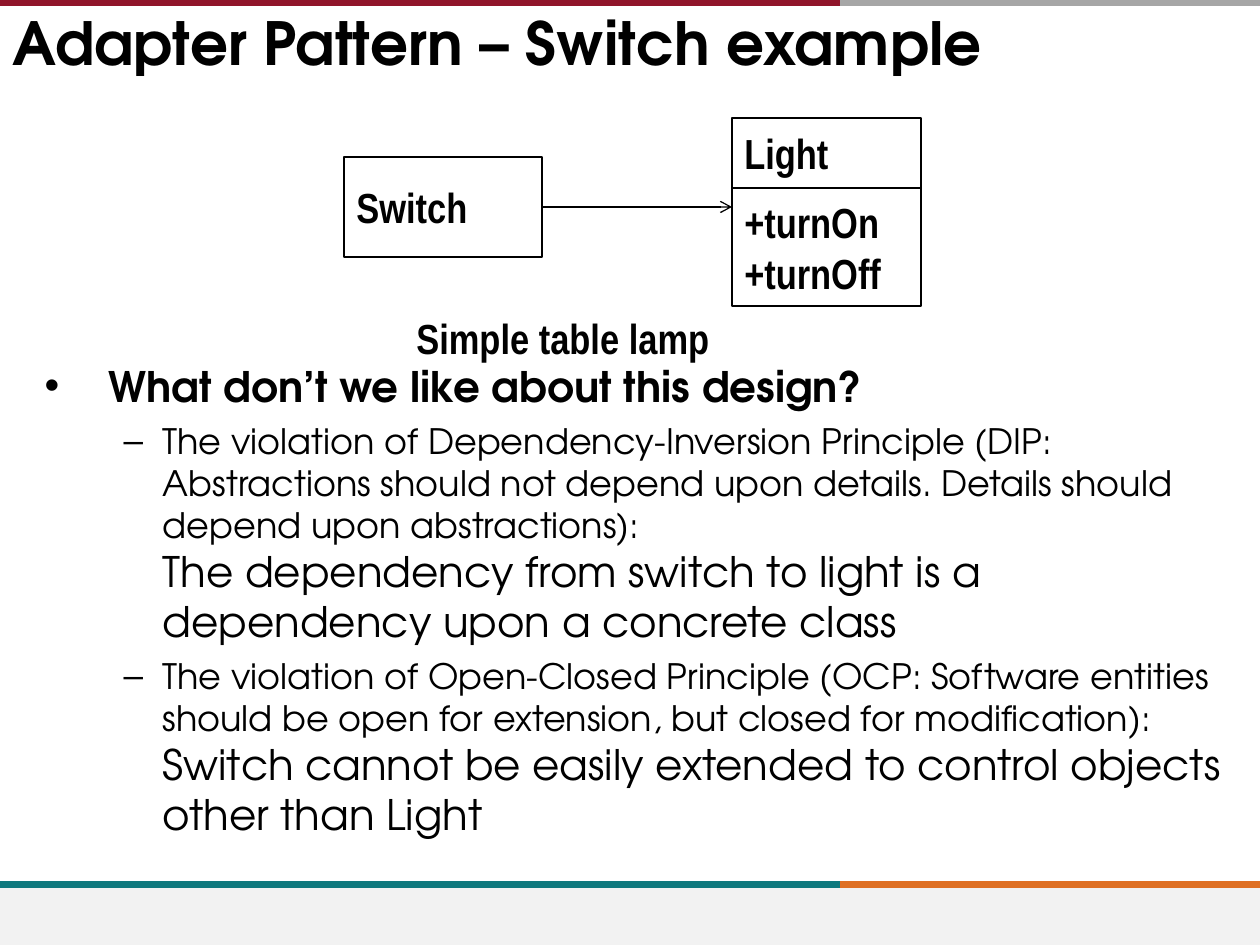
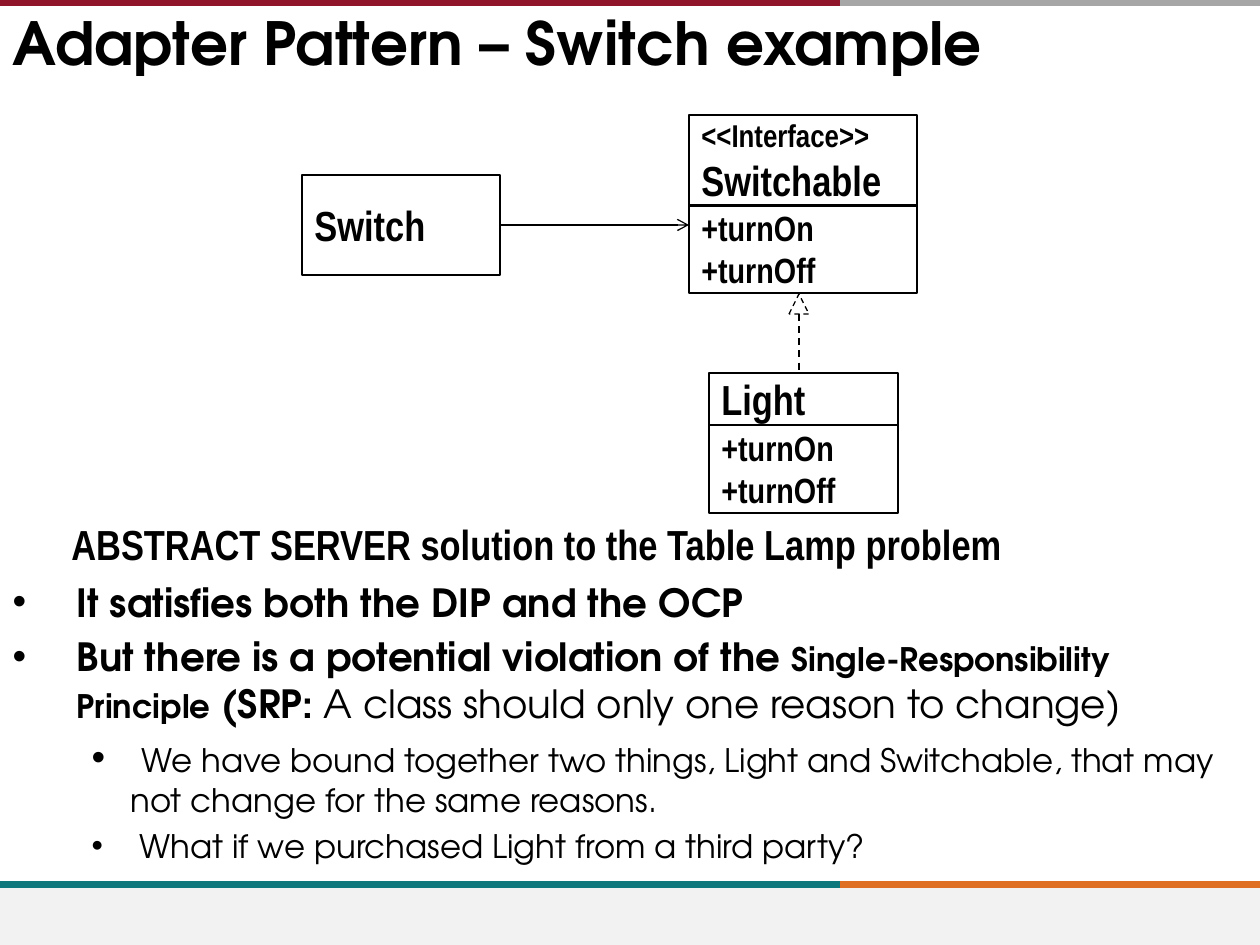
"""Build two slides on the Adapter pattern with a switch and a light."""
from copy import deepcopy
from dataclasses import dataclass

from lxml import etree
from pptx import Presentation
from pptx import util as u
from pptx.dml.color import RGBColor
from pptx.enum import dml, shapes, text
from pptx.oxml.ns import qn


@dataclass
class Theme:
    ink: str = "000000"
    red: str = "90152A"
    gray: str = "A6A6A6"
    teal: str = "0F787D"
    rust: str = "DF7023"
    pale: str = "F2F2F2"
    face: str = "TeX Gyre Adventor"
    slim: str = "Arial Narrow"
    head: float = 34
    big: float = 24
    mid: float = 20
    tag: float = 18
    lead: float = 22.2
    note: float = 18.5


theme = Theme()
PX = 914400 / 126


def write(para, words, size, bold=True, face=theme.face):
    """Add words to a paragraph, with a line break at each newline."""
    for i, line in enumerate(words.split("\n")):
        if i:
            gap = etree.SubElement(para._p, qn("a:br"))
            gap.append(deepcopy(run._r.rPr))
        if not line:
            continue
        run = para.add_run()
        run.text = line
        run.font.size = u.Pt(size)
        run.font.bold = bold
        run.font.name = face
        run.font.color.rgb = RGBColor.from_string(theme.ink)


def wire(page, ends, color=theme.ink, width=0.75):
    """Draw a straight line between two points given in px."""
    line = page.shapes.add_connector(shapes.MSO_CONNECTOR.STRAIGHT, *[round(n * PX) for n in ends])
    line.line.color.rgb = RGBColor.from_string(color)
    line.line.width = u.Pt(width)
    etree.SubElement(line.element.spPr, qn("a:effectLst"))
    return line


deck = Presentation()
deck.slide_width, deck.slide_height = round(1260 * PX), round(945 * PX)
plan = deck.slide_layouts[1]
name = plan.placeholders[0]
name.left, name.top, name.width, name.height = [round(n * PX) for n in (0, 0, 1251, 98)]

big, mid, lead, note = theme.big, theme.mid, theme.lead, theme.note
calls = "+turnOn\n+turnOff"
pages = [
    dict(
        boxes=[
            (344, 157, 198, 100, [("Switch", big)]),
            (732, 118, 189, 70, [("Light", big)]),
            (732, 188, 189, 118, [(calls, big)]),
        ],
        arrow=(542, 207, 732, 207),
        label=("Simple table lamp", (404, 306, 377, 63)),
        area=(32, 354, 1228, 546),
        items=[
            (0, "•", [("What don’t we like about this design?", big, True)]),
            (1, "–", [
                ("The violation of Dependency-Inversion Principle (DIP: Abstractions should not "
                 "depend upon details. Details should depend upon abstractions):\n", mid, False),
                ("The dependency from switch to light is a dependency upon a concrete class",
                 big, False)]),
            (1, "–", [
                ("The violation of Open-Closed Principle (OCP: Software entities should be open "
                 "for extension, but closed for modification):\n", mid, False),
                ("Switch cannot be easily extended to control objects other than Light",
                 big, False)]),
        ],
    ),
    dict(
        boxes=[
            (302, 175, 198, 100, [("Switch", big)]),
            (689, 115, 228, 91, [("<<Interface>>\n", theme.tag), ("Switchable", big)]),
            (689, 205, 228, 88, [(calls, mid)]),
            (709, 373, 189, 52, [("Light", big)]),
            (709, 425, 189, 88, [(calls, mid)]),
        ],
        arrow=(500, 225, 689, 225),
        label=("ABSTRACT SERVER solution to the Table Lamp problem", (59, 512, 1201, 63)),
        area=(0, 572, 1260, 265),
        items=[
            (0, "•", [("It satisfies both the DIP and the OCP", lead, True)]),
            (0, "•", [
                ("But there is a potential violation of the ", lead, True),
                ("Single-Responsibility Principle", note, True),
                (" (SRP:", lead, True),
                (" A class should only one reason to change)", lead, False)]),
            (1, "•", [
                (" ", lead, False),
                ("We have bound together two things, Light and Switchable, that may not change "
                 "for the same reasons.", note, False)]),
            (1, "•", [(" What if we purchased Light from a third party?", note, False)]),
        ],
    ),
]

for data in pages:
    page = deck.slides.add_slide(plan)
    title = page.shapes.title.text_frame
    title.vertical_anchor = text.MSO_ANCHOR.TOP
    title.auto_size = text.MSO_AUTO_SIZE.NONE
    title.paragraphs[0].alignment = text.PP_ALIGN.LEFT
    write(title.paragraphs[0], "Adapter Pattern – Switch example", theme.head)

    body = page.placeholders[1]
    body.left, body.top, body.width, body.height = [round(n * PX) for n in data["area"]]
    frame = body.text_frame
    frame.auto_size = text.MSO_AUTO_SIZE.NONE
    for i, (level, mark, runs) in enumerate(data["items"]):
        para = frame.add_paragraph() if i else frame.paragraphs[0]
        para.level = level
        props = para._p.get_or_add_pPr()
        left, hang = [(64, 64), (118, 39)][level]
        props.set("marL", str(round(left * PX)))
        props.set("indent", str(round(-hang * PX)))
        etree.SubElement(props, qn("a:buChar")).set("char", mark)
        if i == 0:
            para.space_before = u.Pt(0)
        for words, size, bold in runs:
            write(para, words, size, bold)

    cards = []
    for *place, runs in data["boxes"]:
        card = page.shapes.add_shape(shapes.MSO_SHAPE.RECTANGLE, *[round(n * PX) for n in place])
        card.shadow.inherit = False
        card.fill.background()
        card.line.color.rgb = RGBColor.from_string(theme.ink)
        card.line.width = u.Pt(0.75)
        card.text_frame.word_wrap = True
        card.text_frame.vertical_anchor = text.MSO_ANCHOR.MIDDLE
        para = card.text_frame.paragraphs[0]
        para.alignment = text.PP_ALIGN.LEFT
        for words, size in runs:
            write(para, words, size, face=theme.slim)
        cards.append(card)

    arrow = wire(page, data["arrow"])
    arrow.begin_connect(cards[0], 3)
    etree.SubElement(arrow.element.spPr.find(qn("a:ln")), qn("a:tailEnd")).set("type", "arrow")

    words, place = data["label"]
    label = page.shapes.add_textbox(*[round(n * PX) for n in place]).text_frame
    label.word_wrap = True
    label.auto_size = text.MSO_AUTO_SIZE.SHAPE_TO_FIT_TEXT
    write(label.paragraphs[0], words, big, face=theme.slim)

tip = page.shapes.add_shape(
    shapes.MSO_SHAPE.ISOSCELES_TRIANGLE, *[round(n * PX) for n in (789, 294, 20, 20)])
tip.shadow.inherit = False
tip.fill.background()
tip.line.color.rgb = RGBColor.from_string(theme.ink)
tip.line.width = u.Pt(0.75)
stem = wire(page, (799, 314, 799, 373), width=1)
for part in (tip, stem):
    part.line.dash_style = dml.MSO_LINE.DASH

bars = [
    wire(page, (start, y, end, y), color, 4)
    for start, end, y, color in [
        (840, 1260, 885, theme.rust), (0, 840, 885, theme.teal),
        (840, 1260, 3, theme.gray), (0, 840, 3, theme.red)]
]
band = page.shapes.add_shape(
    shapes.MSO_SHAPE.RECTANGLE, *[round(n * PX) for n in (0, 888, 1260, 57)])
band.shadow.inherit = False
band.fill.solid()
band.fill.fore_color.rgb = RGBColor.from_string(theme.pale)
band.line.fill.background()
for spot, part in enumerate([*bars, band], 2):
    plan.shapes.element.insert(spot, part.element)

deck.save("out.pptx")
